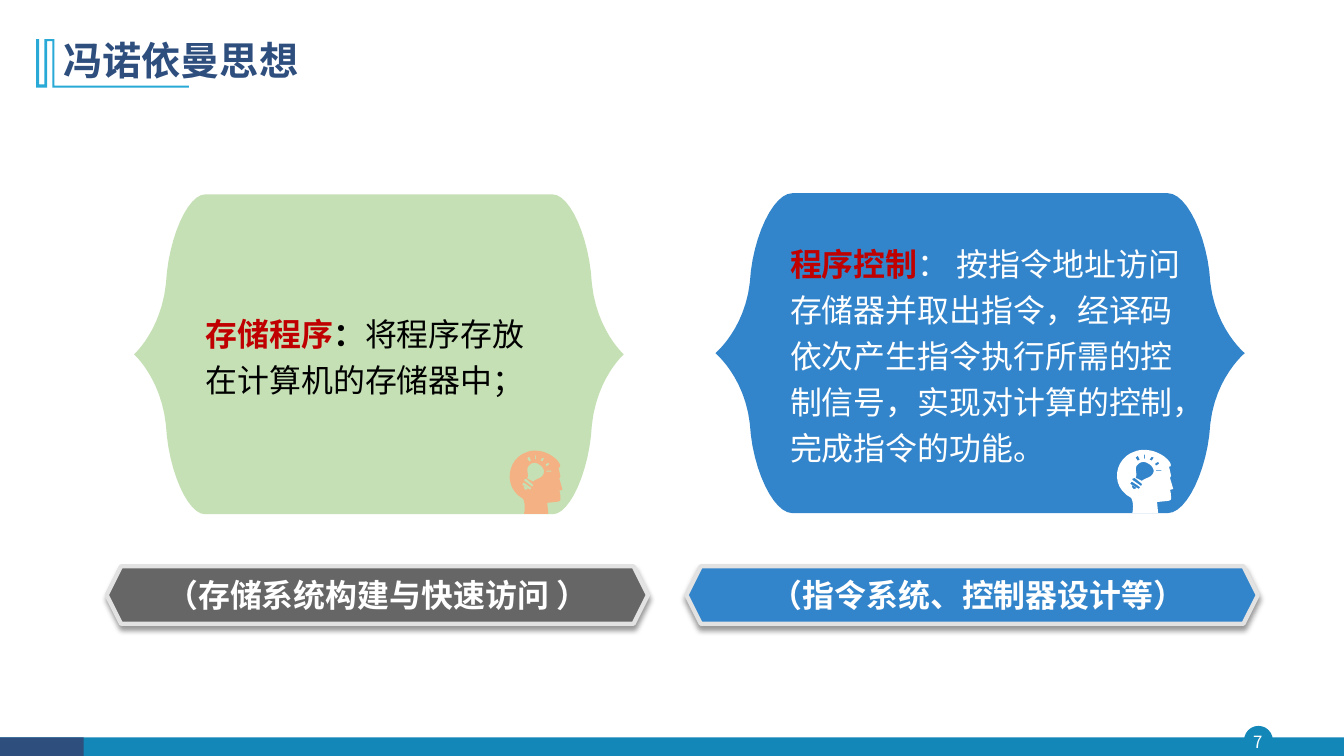
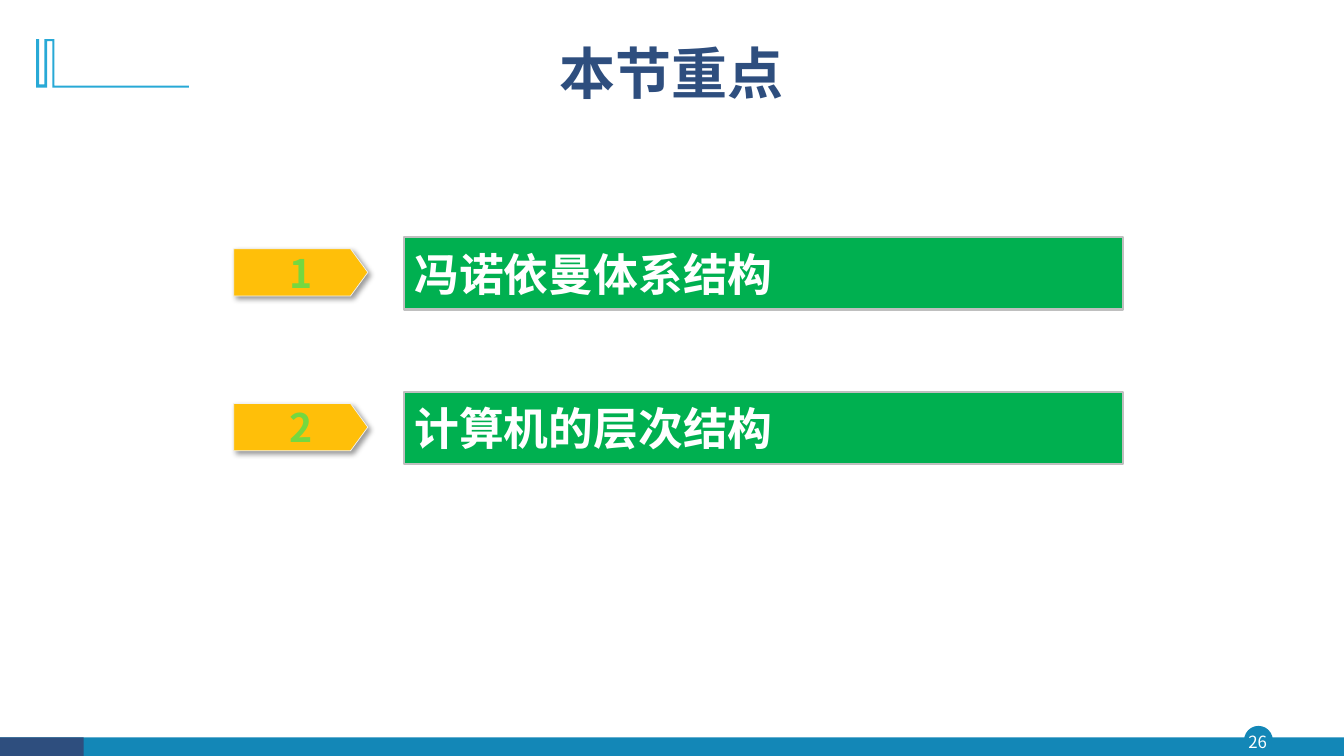
"""Build two slides on von Neumann's ideas and the key points of the section."""
from lxml.etree import SubElement
from pptx import Presentation
from pptx.dml.color import RGBColor
from pptx.enum.lang import MSO_LANGUAGE_ID
from pptx.enum.shapes import MSO_SHAPE
from pptx.enum.text import MSO_ANCHOR, PP_ALIGN
from pptx.oxml.ns import qn
from pptx.util import Cm, Pt

FACE = "Noto Sans CJK SC"
NAVY, TEAL, SKY = "2E4E7E", "1387B7", "28A9D6"
BLUE, GRAY, LIME = "3385CB", "666666", "C5E0B4"
RED, WHITE, BLACK = "C00000", "FFFFFF", "000000"


def trace(steps):
    """Turn a start point, line ends and cubic curves into points."""
    dots = [steps[0]]
    for step in steps[1:]:
        if len(step) == 2:
            dots.append(step)
            continue
        knots = [dots[-1], step[:2], step[2:4], step[4:]]
        for part in range(1, 13):
            t = part / 12
            mix = ((1 - t) ** 3, 3 * t * (1 - t) ** 2, 3 * t * t * (1 - t), t ** 3)
            dots.append(tuple(sum(m * k[axis] for m, k in zip(mix, knots)) for axis in (0, 1)))
    return dots


def draw(page, kind, box, fill=None, line=None, shade=None, runs=(), size=12,
         frame=None, para=None):
    """Draw a preset, a text box (None) or contours with box as origin and scale."""
    if kind is None:
        shape = page.shapes.add_textbox(*map(Cm, box))
    elif isinstance(kind, list):
        left, top, wide, high = box
        paths = [[(Cm(left + x * wide), Cm(top + y * high)) for x, y in dots] for dots in kind]
        pen = page.shapes.build_freeform(*paths[0][0])
        for index, dots in enumerate(paths):
            if index:
                pen.move_to(*dots[0])
            pen.add_line_segments(dots[1:])
        shape = pen.convert_to_shape()
    else:
        shape = page.shapes.add_shape(kind, *map(Cm, box))
    if kind is not None:
        shape.shadow.inherit = False
        if line:
            shape.line.color.rgb = RGBColor.from_string(line[0])
            shape.line.width = Pt(line[1])
        else:
            shape.line.fill.background()
    if fill:
        shape.fill.solid()
        shape.fill.fore_color.rgb = RGBColor.from_string(fill)
    if shade is not None:
        glow = SubElement(shape._element.spPr.find(qn("a:effectLst")), qn("a:outerShdw"),
                          blurRad="50800", dist="38100", dir=str(shade * 60000),
                          algn="ctr", rotWithShape="0")
        tone = SubElement(glow, qn("a:srgbClr"), val=BLACK)
        SubElement(tone, qn("a:alpha"), val="40000")
    if runs:
        text = shape.text_frame
        look = {"word_wrap": True, "vertical_anchor": MSO_ANCHOR.MIDDLE, **(frame or {})}
        for key, value in look.items():
            setattr(text, key, value)
        first = text.paragraphs[0]
        for key, value in {"alignment": PP_ALIGN.LEFT, **(para or {})}.items():
            setattr(first, key, value)
        for words, color, bold in runs:
            run = first.add_run()
            run.text = words
            run.font.color.rgb = RGBColor.from_string(color)
            style = {"size": Pt(size), "bold": bold, "name": FACE,
                     "language_id": MSO_LANGUAGE_ID.SIMPLIFIED_CHINESE}
            for key, value in style.items():
                setattr(run.font, key, value)
            SubElement(run._r.get_or_add_rPr(), qn("a:ea"), typeface=FACE)
    return shape


deck = Presentation()
deck.slide_width, deck.slide_height = Cm(33.87), Cm(19.05)

MID = {"alignment": PP_ALIGN.CENTER}
TIGHT = dict.fromkeys(("margin_left", "margin_top", "margin_right", "margin_bottom"), 0)
MARK = [(1.37, 0.99), (1.37, 2.16), (4.76, 2.16), (4.76, 2.21), (1.32, 2.21), (1.32, 1.04),
        (1.19, 1.04), (1.19, 2.21), (0.91, 2.21), (0.91, 0.99), (0.99, 0.99), (0.99, 2.13),
        (1.12, 2.13), (1.12, 0.99)]

pages = []
for number, title, size, box, para in (
        ("7", "冯诺依曼思想", 28, (1.35, 0.71, 29.21, 1.73), {}),
        ("26", "本节重点", 40, (7.87, 0.51, 18.11, 2.84), MID)):
    page = deck.slides.add_slide(deck.slide_layouts[6])
    pages.append(page)
    draw(page, MSO_SHAPE.OVAL, (31.37, 18.31, 0.69, 0.69), TEAL, (TEAL, 1))
    for wide, color in ((33.87, TEAL), (2.11, NAVY)):
        draw(page, MSO_SHAPE.RECTANGLE, (0, 18.58, wide, 0.47), color)
    draw(page, None, (31.29, 18.31, 0.81, 0.79), runs=[(number, WHITE, False)],
         frame=TIGHT, para=MID)
    draw(page, [MARK], (0, 0, 1, 1), SKY)
    draw(page, None, box, runs=[(title, NAVY, True)], size=size,
         para={"line_spacing": 0.9, **para})
ideas, focus = pages

side = trace([(1, 0), (1, 0, 0.89, 0.15, 0.87, 0.44), (0.86, 0.73, 0.78, 1, 0.71, 1)])
brace = [[(x * flip, y * turn)
          for flip, turn, way in ((1, -1, 1), (-1, -1, -1), (-1, 1, 1), (1, 1, -1))
          for x, y in side[::way]]]
head = [trace(steps) for steps in (
    [(22, 65), (23, 60, 23, 54, 21, 50), (0, 38, 6, 10, 24, 4), (33, 0, 46, 3, 54, 11),
     (60, 17, 57, 19, 57, 19), (56, 19), (57, 22, 58, 28, 58, 28), (57, 30), (60, 41),
     (57, 42), (58, 45, 58, 48, 58, 51), (58, 52, 56, 53, 54, 53), (45, 54), (46, 65)],
    [(37, 16), (33, 13, 29, 14, 26, 18), (24, 22, 27, 26, 25, 30), (31, 33),
     (34, 30, 39, 30, 41, 26), (43, 23, 41, 18, 37, 16)],
    [(29, 39), (22, 34), (21, 34), (20, 36), (28, 41), (29, 40)],
    [(31, 36), (24, 30), (22, 31), (22, 32), (30, 38), (31, 37)],
    [(22, 37), (21, 38, 22, 40, 23, 41), (24, 41, 25, 41, 26, 40)],
    [(44, 23), (49, 23), (49, 22), (44, 22)],
    [(29, 12), (27, 8), (25, 10), (27, 13)],
    [(34, 11), (34, 7), (33, 7), (33, 11)],
    [(44, 18), (47, 16), (46, 14), (43, 16)],
    [(40, 13), (42, 10), (40, 9), (38, 12)])]

for back, shell, box, runs, spot, icon in (
        (LIME, (9.55, 8.93, 6.17, 4.03), (4.93, 7.65, 9.25, 2.49),
         [("存储程序", RED, True), ("：", BLACK, True),
          ("将程序存放在计算机的存储器中；", BLACK, False)],
         (12.65, 11.3, 0.0254, 0.0254), "F4B183"),
        (BLUE, (24.7, 8.9, 6.67, 4.03), (19.66, 5.87, 10.64, 5.99),
         [("程序控制", RED, True),
          ("： 按指令地址访问存储器并取出指令，经译码依次产生指令执行所需的控制信号，"
           "实现对计算的控制，完成指令的功能。", WHITE, False)],
         (27.94, 11.28, 0.0271, 0.0254), WHITE)):
    draw(ideas, brace, shell, back)
    draw(ideas, None, box, runs=runs, size=22.8, para={"line_spacing": 1.2})
    draw(ideas, head, spot, icon)

for left, wide, color, words, inset in (
        (17.3, 14.4, BLUE, "（指令系统、控制器设计等）", 0.3),
        (2.69, 13.64, GRAY, "（存储系统构建与快速访问 ）", 0)):
    draw(ideas, MSO_SHAPE.HEXAGON, (left, 14.27, wide, 1.45), color, ("E2E2E2", 3), 90,
         [(words, WHITE, True)], 22.8,
         {**TIGHT, "margin_left": Cm(inset), "word_wrap": False}, MID)

for index, words in enumerate(("冯诺依曼体系结构", "计算机的层次结构")):
    drop = index * 3.9
    tag = draw(focus, MSO_SHAPE.PENTAGON, (5.89, 6.27 + drop, 3.38, 1.19), "FFBF09",
               ("F2F2F2", 0.5), 45, [(str(index + 1), "75D840", True)], 28,
               {**TIGHT, "margin_left": Cm(0.22)}, MID)
    tag.adjustments[0] = 0.365
    draw(focus, MSO_SHAPE.RECTANGLE, (10.19, 5.97 + drop, 18.11, 1.83), "00B050",
         ("BFBFBF", 1.5), runs=[(words, WHITE, True)], size=32)

deck.save("out.pptx")
